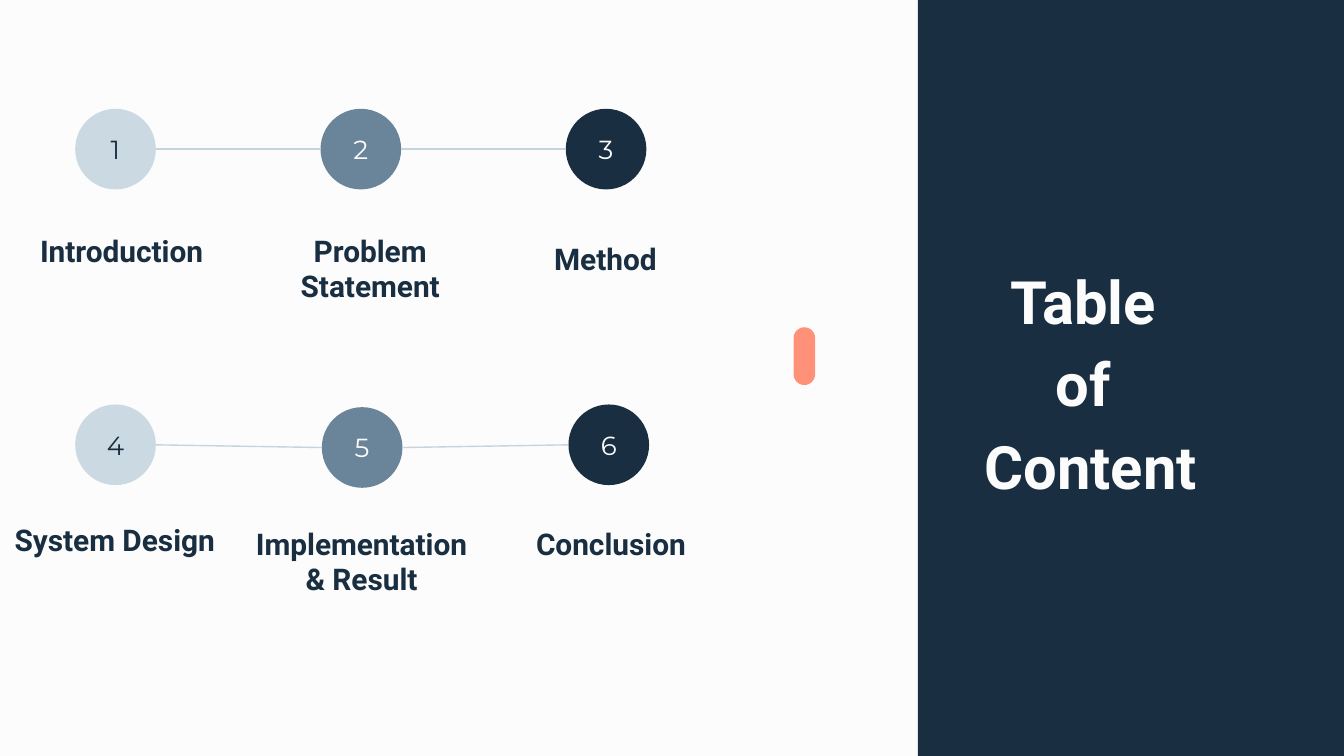
from lxml.etree import SubElement
from pptx import Presentation
from pptx.dml.color import RGBColor
from pptx.enum.shapes import MSO_CONNECTOR as Connector, MSO_SHAPE as Shape
from pptx.enum.text import MSO_ANCHOR as Anchor, MSO_AUTO_SIZE as AutoSize, PP_ALIGN as Align
from pptx.oxml.ns import qn
from pptx.util import Inches, Pt

# Content
TITLE = "Table \vof \vContent"
NAVY, SLATE, MIST, WHITE = "192E40", "6A849A", "CBD9E2", "FCFCFC"
CORAL, LINE = "FF9179", "C6D4DE"
COLUMN_COLOURS = [(MIST, NAVY), (SLATE, WHITE), (NAVY, WHITE)]

# Each topic: lines, label box (left, top, width, height), alignment
TOPICS = [
    [(["Introduction"], (0.2, 1.68, 1.83, 0.37), Align.LEFT),
     (["Problem", "Statement"], (1.84, 1.68, 1.83, 0.64), Align.CENTER),
     (["Method"], (3.52, 1.74, 1.97, 0.37), Align.CENTER)],
    [(["System Design"], (-0.13, 3.83, 1.97, 0.37), Align.CENTER),
     (["Implementation & Result"], (1.8, 3.86, 1.78, 0.64), Align.CENTER),
     (["Conclusion"], (3.89, 3.86, 1.83, 0.37), Align.LEFT)],
]

# A 16:9 page
WIDTH = 10
HEIGHT = WIDTH * 9 / 16

# Grid of numbered circles, with the small shifts of the second row
DIAMETER = 0.6
FIRST_LEFT, LAST_LEFT = 0.56, 4.21
COLUMN_STEP = (LAST_LEFT - FIRST_LEFT) / (len(COLUMN_COLOURS) - 1)
ROW_TOP, ROW_STEP = 0.81, 2.2
SHIFTS = {(1, 1): (0.01, 0.02), (1, 2): (0.02, 0)}

NUMBER_FONT = {"name": "Montserrat", "size": Pt(14), "bold": False}
LABEL_FONT = {"name": "Roboto", "size": Pt(16), "bold": True}
TITLE_FONT = {"name": "Roboto", "size": Pt(32), "bold": True}


def rgb(colour):
    return RGBColor.from_string(colour)


def place(box):
    return [Inches(length) for length in box]


def add_filled(slide, kind, box, colour):
    shape = slide.shapes.add_shape(kind, *place(box))
    shape.shadow.inherit = False
    shape.fill.solid()
    shape.fill.fore_color.rgb = rgb(colour)
    shape.line.fill.background()
    return shape


def write(frame, lines, font, colour, align, margin):
    frame.word_wrap = True
    across, down = place(margin)
    frame.margin_left = frame.margin_right = across
    frame.margin_top = frame.margin_bottom = down
    frame.text = "\n".join(lines)
    for para in frame.paragraphs:
        para.alignment = align
        for span in para.runs:
            for name, value in font.items():
                setattr(span.font, name, value)
            span.font.color.rgb = rgb(colour)


def circle_corner(row, column):
    shift_x, shift_y = SHIFTS.get((row, column), (0, 0))
    return (FIRST_LEFT + column * COLUMN_STEP + shift_x,
            ROW_TOP + row * ROW_STEP + shift_y)


def add_link(slide, row, column):
    left, top = circle_corner(row, column)
    next_left, next_top = circle_corner(row, column + 1)
    radius = DIAMETER / 2
    ends = (left + DIAMETER, top + radius, next_left, next_top + radius)
    link = slide.shapes.add_connector(Connector.STRAIGHT, *place(ends))
    link.line.color.rgb = rgb(LINE)
    link.line.width = Pt(0.75)
    SubElement(link._element.spPr, qn("a:effectLst"))


def main():
    deck = Presentation()
    deck.slide_width, deck.slide_height = Inches(WIDTH), Inches(HEIGHT)
    page = deck.slides.add_slide(deck.slide_layouts[5])
    page.background.fill.solid()
    page.background.fill.fore_color.rgb = rgb(WHITE)

    # Side panel and accent
    panel_left = 6.83
    add_filled(page, Shape.RECTANGLE, (panel_left, 0, WIDTH - panel_left, HEIGHT), NAVY)
    accent = add_filled(page, Shape.ROUNDED_RECTANGLE, (5.77, 2.57, 0.43, 0.16), CORAL)
    accent.adjustments[0] = 0.5
    accent.rotation = 270

    # Title, brought in front of the panel
    title = page.shapes.title
    title.left, title.top, title.width, title.height = place((6.92, 1.87, 2.39, 1.88))
    frame = title.text_frame
    write(frame, [TITLE], TITLE_FONT, WHITE, Align.CENTER, (0.1, 0.1))
    frame.auto_size = AutoSize.NONE
    frame.vertical_anchor = Anchor.MIDDLE
    frame.paragraphs[0].line_spacing = 1.15
    accent._element.addnext(title._element)

    # Numbered circles, labels and links
    for row, topics in enumerate(TOPICS):
        for column, (lines, box, align) in enumerate(topics):
            fill, ink = COLUMN_COLOURS[column]
            circle = add_filled(page, Shape.OVAL,
                                (*circle_corner(row, column), DIAMETER, DIAMETER), fill)
            number = str(row * len(topics) + column + 1)
            write(circle.text_frame, [number], NUMBER_FONT, ink, Align.CENTER, (0, 0))
            circle.text_frame.vertical_anchor = Anchor.MIDDLE

            label = page.shapes.add_textbox(*place(box))
            write(label.text_frame, lines, LABEL_FONT, NAVY, align, (0.1, 0.05))
            label.text_frame.auto_size = AutoSize.SHAPE_TO_FIT_TEXT
        for column in range(len(topics) - 1):
            add_link(page, row, column)

    deck.save("out.pptx")


if __name__ == "__main__":
    main()
